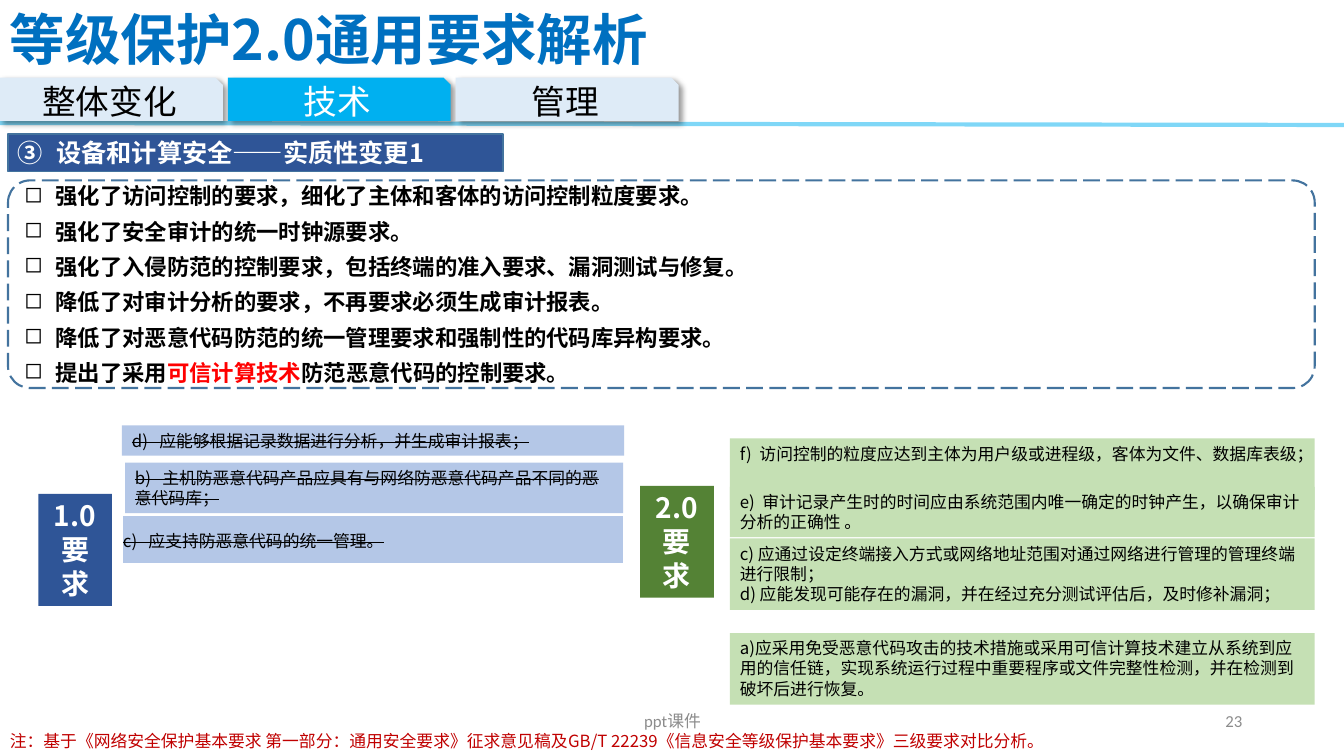
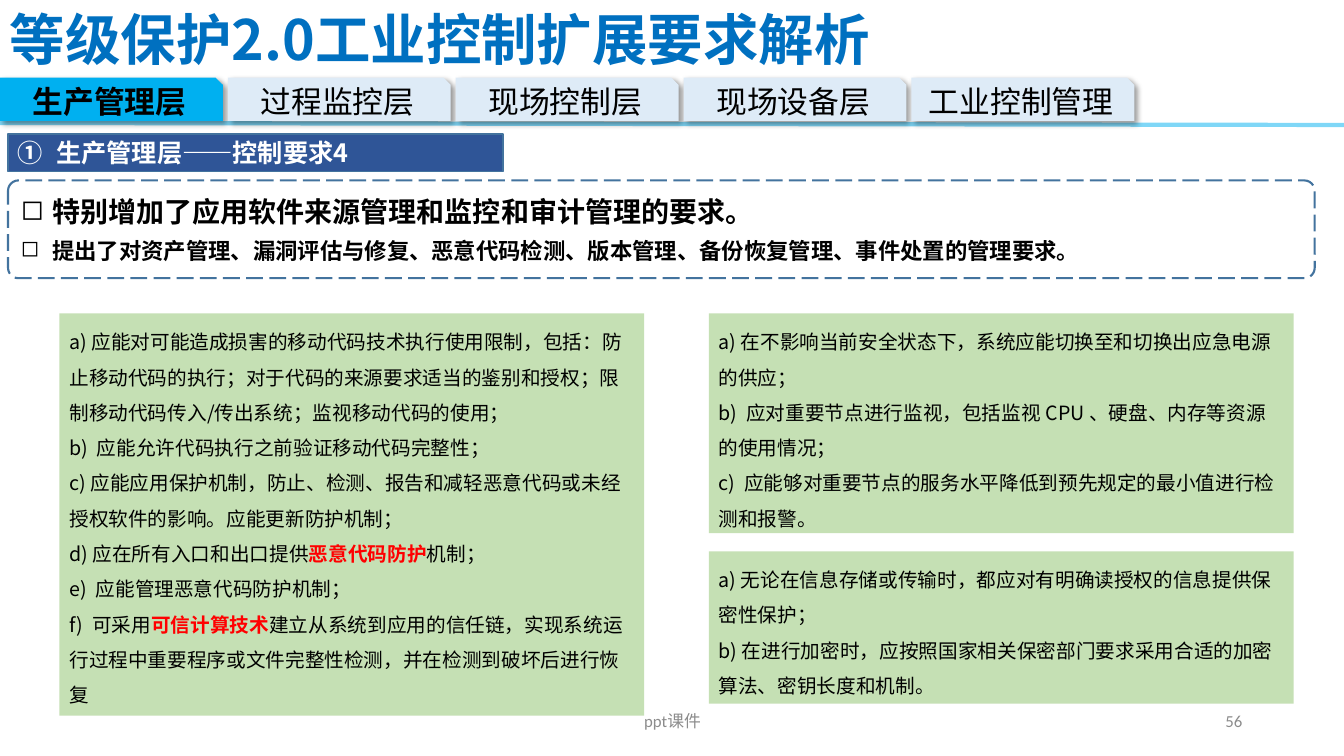
"""Build two slides on the general and industrial requirements of protection level 2.0."""
from lxml.etree import SubElement
from pptx import Presentation
from pptx.dml.color import RGBColor
from pptx.enum.dml import MSO_LINE
from pptx.enum.shapes import MSO_CONNECTOR, MSO_SHAPE
from pptx.enum.text import MSO_ANCHOR, MSO_AUTO_SIZE, PP_ALIGN
from pptx.oxml.ns import qn
from pptx.util import Inches, Pt

COLORS = {
    "title": "0070C0", "accent": "00B0F0", "tab": "DEEBF7", "navy": "2F5597",
    "outline": "43739E", "green": "548235", "new": "C5E0B4", "old": "B4C7E7",
    "note": "C00000", "key": "FF0000", "footer": "8C8C8C",
    "black": "000000", "white": "FFFFFF",
}
CJK = "Noto Sans CJK SC"
TAB_PITCH = 2.26


def rgb(name):
    """Return a palette colour."""
    return RGBColor.from_string(COLORS[name])


def add_runs(paragraph, line):
    """Write a line, making the parts between asterisks red and bold."""
    for index, part in enumerate(line.split("*")):
        run = paragraph.add_run()
        run.text = part
        if index % 2:
            run.font.bold = True
            run.font.color.rgb = rgb("key")


def add_bullet(paragraph, indent, kind, **settings):
    """Give a paragraph a hanging bullet or number."""
    props = paragraph._p.get_or_add_pPr()
    props.set("marL", str(Inches(indent)))
    props.set("indent", str(-Inches(indent)))
    SubElement(props, qn(kind), settings)


def write(frame, lines, size, color="black", bold=False, align=PP_ALIGN.LEFT,
          font=CJK, spacing=None, after=None, bullet=None, strike=False):
    """Fill a text frame with evenly styled paragraphs."""
    frame.word_wrap = True
    for index, line in enumerate(lines):
        paragraph = frame.add_paragraph() if index else frame.paragraphs[0]
        add_runs(paragraph, line)
        paragraph.alignment = align
        if spacing:
            paragraph.line_spacing = spacing
        if after:
            paragraph.space_after = Pt(after)
        if bullet:
            add_bullet(paragraph, **bullet)
        paragraph.font.size = Pt(size)
        paragraph.font.bold = bold
        paragraph.font.name = font
        paragraph.font.color.rgb = rgb(color)
        defaults = paragraph._p.pPr.find(qn("a:defRPr"))
        SubElement(defaults, qn("a:ea"), typeface=font)
        if strike:
            defaults.set("strike", "sngStrike")


def add_text(slide, box, line, size, color, anchor=MSO_ANCHOR.MIDDLE, **style):
    """Add a one-line text box."""
    frame = slide.shapes.add_textbox(*map(Inches, box)).text_frame
    frame.vertical_anchor = anchor
    write(frame, [line], size, color, **style)


def add_block(slide, box, fill=None, preset=MSO_SHAPE.RECTANGLE, outline=None):
    """Add a flat shape with an optional fill and outline width."""
    block = slide.shapes.add_shape(preset, *map(Inches, box))
    block.shadow.inherit = False
    if fill:
        block.fill.solid()
        block.fill.fore_color.rgb = rgb(fill)
    else:
        block.fill.background()
    if outline:
        block.line.color.rgb = rgb("outline")
        block.line.width = Pt(outline)
    else:
        block.line.fill.background()
    return block


def add_panel(slide, box, fill, lines, size=12, **style):
    """Add a filled panel whose text starts at the top."""
    frame = add_block(slide, box, fill).text_frame
    frame.vertical_anchor = MSO_ANCHOR.TOP
    frame.auto_size = MSO_AUTO_SIZE.SHAPE_TO_FIT_TEXT
    write(frame, lines, size, **style)


def add_rule(slide):
    """Add the translucent rule below the tabs."""
    rule = slide.shapes.add_connector(
        MSO_CONNECTOR.STRAIGHT, Inches(0), Inches(1.22), Inches(13.33), Inches(1.24))
    rule.line.color.rgb = rgb("accent")
    rule.line.width = Pt(3)
    tint = rule._element.spPr.find(".//" + qn("a:srgbClr"))
    SubElement(tint, qn("a:alpha"), val="50000")
    SubElement(rule._element.spPr, qn("a:effectLst"))


def add_tab(slide, position, label, size, active, active_color, active_bold):
    """Add one navigation tab with a soft shadow."""
    box = (position * TAB_PITCH, 0.77, 2.21, 0.43)
    tab = add_block(slide, box, "accent" if active else "tab",
                    MSO_SHAPE.SNIP_1_RECTANGLE)
    effects = tab._element.spPr.find(qn("a:effectLst"))
    shadow = SubElement(effects, qn("a:outerShdw"), blurRad=str(Pt(4)),
                        dist=str(Pt(3)), dir="2700000", algn="tl", rotWithShape="0")
    tint = SubElement(shadow, qn("a:srgbClr"), val=COLORS["black"])
    SubElement(tint, qn("a:alpha"), val="40000")
    write(tab.text_frame, [label], size, active_color if active else "black",
          bold=active and active_bold, align=PP_ALIGN.CENTER)


def add_frame(deck, title, tabs, active, tab_size, active_color, active_bold, number):
    """Add a slide with its title, tabs and footer."""
    slide = deck.slides.add_slide(deck.slide_layouts[6])
    add_rule(slide)
    for position, label in enumerate(tabs):
        add_tab(slide, position, label, tab_size, position == active,
                active_color, active_bold)
    add_text(slide, (0, 0.01, 9.45, 0.75), title, 39.6, "title", bold=True)
    add_text(slide, (9.42, 6.95, 3, 0.4), number, 12, "footer",
             font="Calibri", align=PP_ALIGN.RIGHT)
    add_text(slide, (4.42, 6.95, 4.5, 0.4), "ppt课件", 12, "footer",
             font="Calibri", align=PP_ALIGN.CENTER)
    return slide


def add_heading(slide, line, number):
    """Add the numbered section heading."""
    heading = add_block(slide, (0.08, 1.33, 4.91, 0.37), "navy", outline=1)
    numbering = {"indent": 0.38, "kind": "a:buAutoNum",
                 "type": "circleNumDbPlain", "startAt": str(number)}
    write(heading.text_frame, [line], 18, "white", bold=True, bullet=numbering)


def add_summary(slide, height, lines):
    """Add the dashed summary of changes and return its paragraphs."""
    summary = add_block(slide, (0.08, 1.79, 12.96, height),
                        preset=MSO_SHAPE.ROUNDED_RECTANGLE, outline=1.5)
    summary.adjustments[0] = 0.106
    summary.line.dash_style = MSO_LINE.LONG_DASH
    square = {"indent": 0.31, "kind": "a:buChar", "char": "◻"}
    write(summary.text_frame, lines, 16, bold=True, after=6, bullet=square)
    return summary.text_frame.paragraphs


def add_dropped_row(slide, box, line):
    """Add a one-cell table holding a dropped requirement."""
    table = slide.shapes.add_table(1, 1, *map(Inches, box)).table
    table.first_row = table.horz_banding = False
    cell = table.cell(0, 0)
    cell.vertical_anchor = MSO_ANCHOR.MIDDLE
    cell.margin_left = cell.margin_right = cell.margin_top = Inches(0.01)
    cell.margin_bottom = 0
    write(cell.text_frame, [line], 12, strike=True)
    props = cell._tc.get_or_add_tcPr()
    for side in ("lnL", "lnR", "lnT", "lnB"):
        border = SubElement(props, qn("a:" + side), w=str(Pt(1)))
        SubElement(SubElement(border, qn("a:solidFill")), qn("a:srgbClr"),
                   val=COLORS["white"])
    cell.fill.solid()
    cell.fill.fore_color.rgb = rgb("old")


def build_general(deck):
    """Build the slide on the general requirements."""
    slide = add_frame(deck, "等级保护2.0通用要求解析", ["整体变化", "技术", "管理"],
                      1, 24, "white", False, "23")
    add_heading(slide, "设备和计算安全——实质性变更1", 3)
    add_summary(slide, 2.06, [
        "强化了访问控制的要求，细化了主体和客体的访问控制粒度要求。",
        "强化了安全审计的统一时钟源要求。",
        "强化了入侵防范的控制要求，包括终端的准入要求、漏洞测试与修复。",
        "降低了对审计分析的要求，不再要求必须生成审计报表。",
        "降低了对恶意代码防范的统一管理要求和强制性的代码库异构要求。",
        "提出了采用*可信计算技术*防范恶意代码的控制要求。",
    ])
    for left, top, fill, version in ((0.38, 4.9, "navy", "1.0"),
                                     (6.35, 4.82, "green", "2.0")):
        add_panel(slide, (left, top, 0.73, 1.11), fill, [version, "要求"], 20,
                  color="white", bold=True, align=PP_ALIGN.CENTER)
    added = (
        (4.35, 0.71, ["f)  访问控制的粒度应达到主体为用户级或进程级，客体为文件、数据库表级；"]),
        (5.34, 0.71, [
            "c) 应通过设定终端接入方式或网络地址范围对通过网络进行管理的管理终端进行限制；",
            "d) 应能发现可能存在的漏洞，并在经过充分测试评估后，及时修补漏洞；"]),
        (4.83, 0.5, ["e)  审计记录产生时的时间应由系统范围内唯一确定的时钟产生，以确保审计分析的正确性 。"]),
        (6.28, 0.71, ["a)应采用免受恶意代码攻击的技术措施或采用可信计算技术建立从系统到应用的信任链，"
                      "实现系统运行过程中重要程序或文件完整性检测，并在检测到破坏后进行恢复。"]),
    )
    for top, height, lines in added:
        add_panel(slide, (7.24, top, 5.8, height), "new", lines)
    add_dropped_row(slide, (1.21, 5.11, 4.98, 0.48), "c)   应支持防恶意代码的统一管理。")
    add_panel(slide, (1.21, 4.22, 4.98, 0.3), "old",
              ["d)   应能够根据记录数据进行分析，并生成审计报表；"], strike=True)
    add_panel(slide, (1.24, 4.59, 4.94, 0.5), "old",
              ["b)   主机防恶意代码产品应具有与网络防恶意代码产品不同的恶意代码库；"], strike=True)
    add_text(slide, (0, 7.2, 12, 0.3),
             "注：基于《网络安全保护基本要求 第一部分：通用安全要求》征求意见稿及GB/T 22239"
             "《信息安全等级保护基本要求》三级要求对比分析。", 12, "note", MSO_ANCHOR.TOP)


def build_industrial(deck):
    """Build the slide on the industrial control extension."""
    slide = add_frame(deck, "等级保护2.0工业控制扩展要求解析",
                      ["生产管理层", "过程监控层", "现场控制层", "现场设备层", "工业控制管理"],
                      0, 22, "black", True, "56")
    add_heading(slide, "生产管理层——控制要求4", 1)
    changes = add_summary(slide, 0.97, [
        "特别增加了应用软件来源管理和监控和审计管理的要求。",
        "提出了对资产管理、漏洞评估与修复、恶意代码检测、版本管理、备份恢复管理、事件处置的管理要求。",
    ])
    changes[0].font.size = Pt(20)
    controls = (
        (0.59, 3.11, 3.99, [
            "a) 应能对可能造成损害的移动代码技术执行使用限制，包括：防止移动代码的执行；"
            "对于代码的来源要求适当的鉴别和授权；限制移动代码传入/传出系统；监视移动代码的使用；",
            "b)  应能允许代码执行之前验证移动代码完整性；",
            "c) 应能应用保护机制，防止、检测、报告和减轻恶意代码或未经授权软件的影响。应能更新防护机制；",
            "d) 应在所有入口和出口提供*恶意代码防护*机制；",
            "e)  应能管理恶意代码防护机制；",
            "f)  可采用*可信计算技术*建立从系统到应用的信任链，"
            "实现系统运行过程中重要程序或文件完整性检测，并在检测到破坏后进行恢复"]),
        (7.03, 3.11, 2.18, [
            "a) 在不影响当前安全状态下，系统应能切换至和切换出应急电源的供应；",
            "b)  应对重要节点进行监视，包括监视 CPU 、硬盘、内存等资源的使用情况；",
            "c)  应能够对重要节点的服务水平降低到预先规定的最小值进行检测和报警。"]),
        (7.03, 5.47, 1.51, [
            "a) 无论在信息存储或传输时，都应对有明确读授权的信息提供保密性保护；",
            "b) 在进行加密时，应按照国家相关保密部门要求采用合适的加密算法、密钥长度和机制。"]),
    )
    for left, top, height, lines in controls:
        add_panel(slide, (left, top, 5.8, height), "new", lines, 14, spacing=1.5)


def main():
    """Build and save the deck."""
    deck = Presentation()
    deck.slide_width, deck.slide_height = Inches(13.33), Inches(7.5)
    build_general(deck)
    build_industrial(deck)
    deck.save("out.pptx")


if __name__ == "__main__":
    main()
